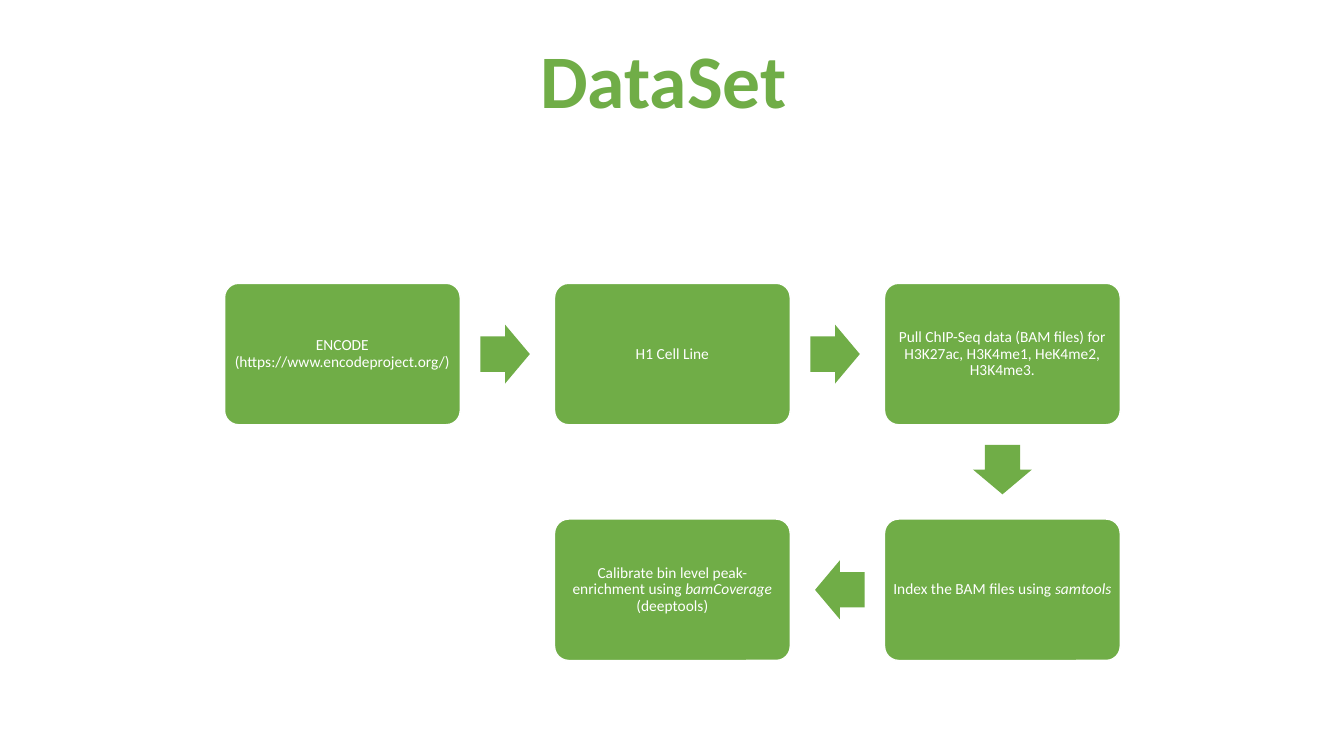
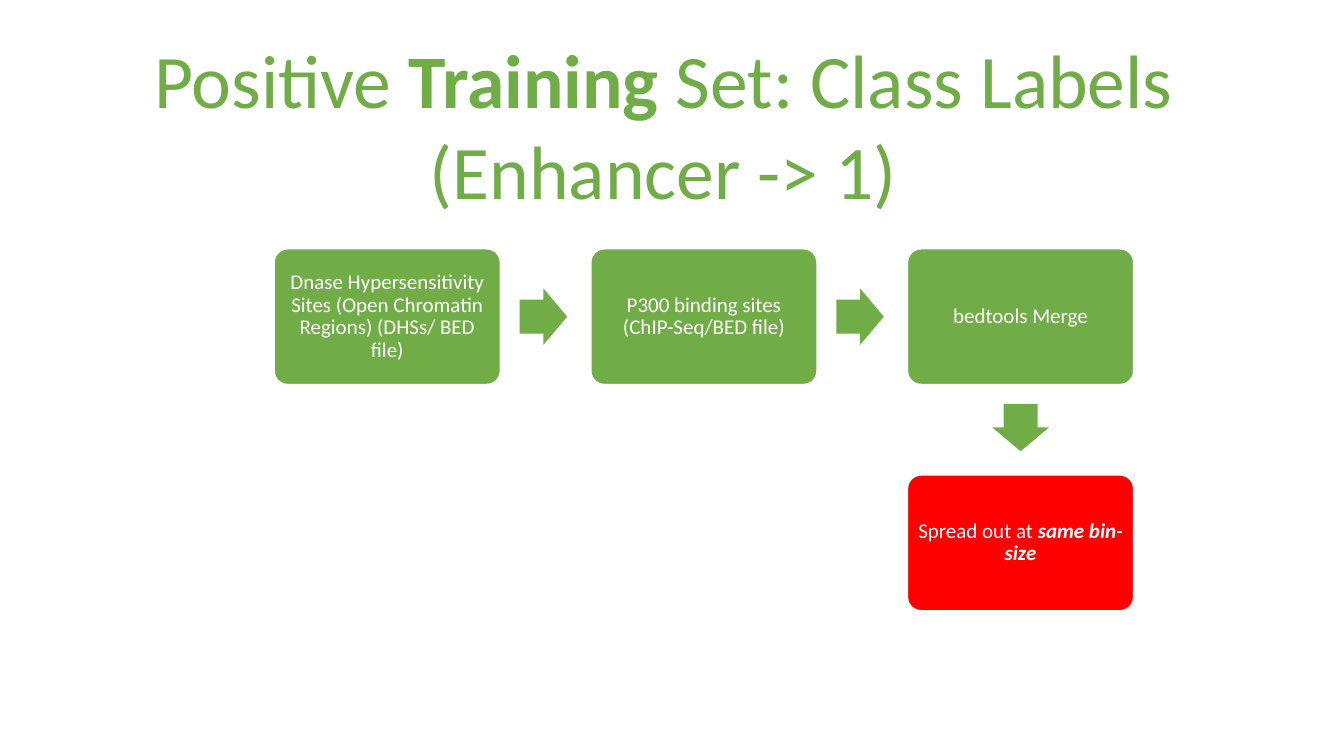
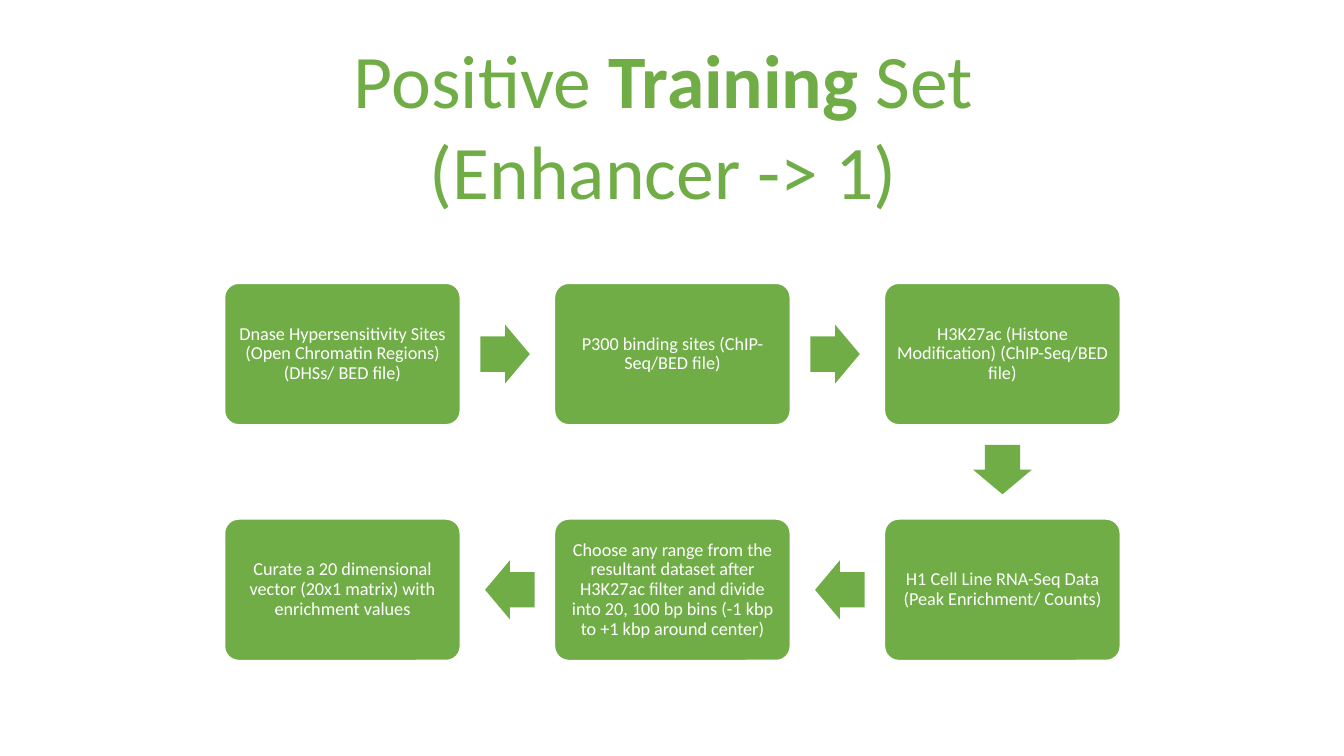
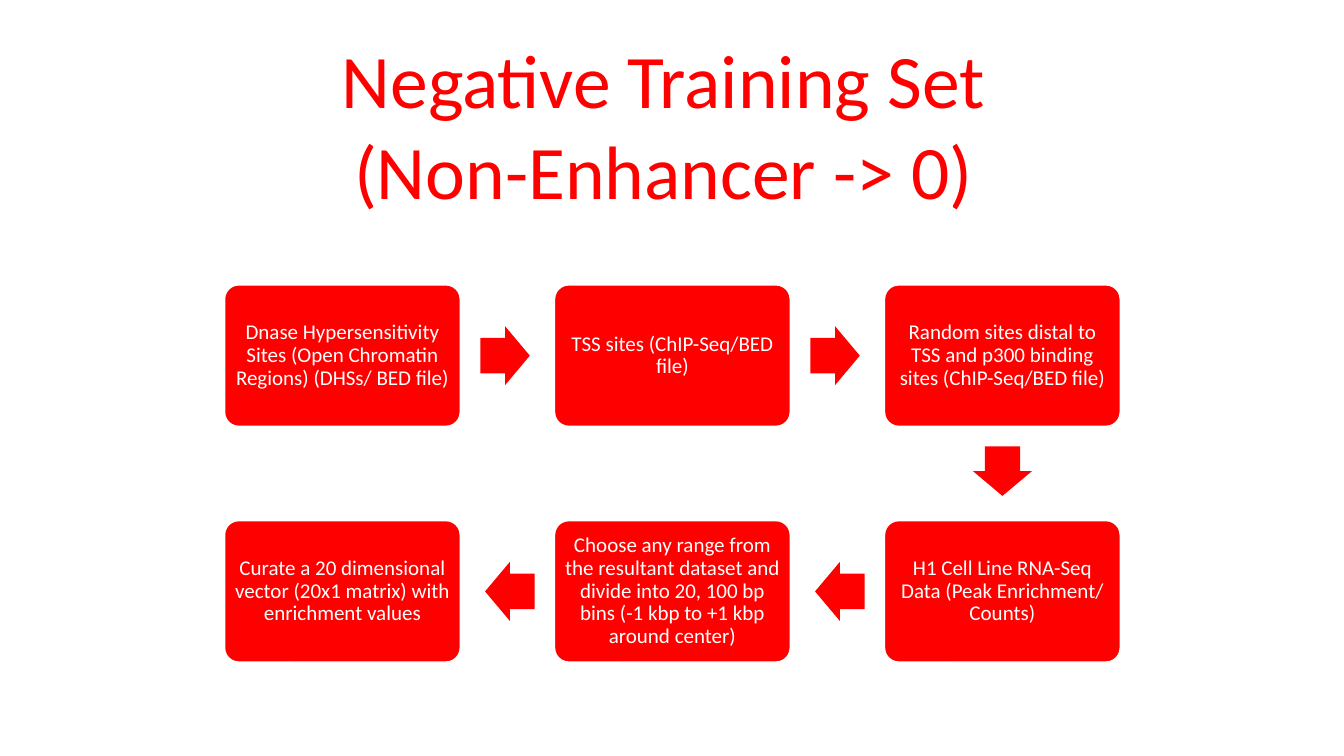
import pptx
import pptx.dml.color
import pptx.enum.shapes
import pptx.enum.text
import pptx.util

Cm, Pt = pptx.util.Cm, pptx.util.Pt
SHAPE = pptx.enum.shapes.MSO_SHAPE
ANCHOR = pptx.enum.text.MSO_ANCHOR
CENTER = pptx.enum.text.PP_ALIGN.CENTER

COLORS = {"green": "70AD47", "red": "FF0000", "white": "FFFFFF"}
FONT = "Calibri"
SLIDE_WIDTH, SLIDE_HEIGHT = 33.87, 19.05
TITLE_TOP, TITLE_SIZE = 0.71, 54
COLUMNS = 3

# Proportions of the flow, as shares of the step width
STEP_HEIGHT, COLUMN_PITCH, ROW_PITCH = 0.6, 1.4, 1
ARROW_LENGTH, ARROW_THICKNESS, ARROW_OFFSET = 0.21, 0.25, 0.19

DHS_SITES = [("Dnase Hypersensitivity Sites (Open Chromatin Regions) (DHSs/ BED file)", "")]
P300_SITES = [("P300 binding sites (ChIP-Seq/BED file)", "")]
RNA_SEQ = [("H1 Cell Line RNA-Seq Data (Peak Enrichment/ Counts)", "")]
VECTOR = [("Curate a 20 dimensional vector (20x1 matrix) with enrichment values", "")]
ENHANCER = [("(Enhancer -> 1) ", "")]

# Each run is a text and its style: b for bold, i for italic
slides = [
    {
        "title": [[("DataSet ", "b")]],
        "title_width": 7.16, "color": "green",
        "left": 5.66, "top": 7.14, "step_width": 5.94, "text_size": 11,
        "steps": [
            [("ENCODE (https://www.encodeproject.org/)", "")],
            [("H1 Cell Line", "")],
            [("Pull ChIP-Seq data (BAM files) for H3K27ac, H3K4me1, HeK4me2, H3K4me3.", "")],
            [("Index the BAM files using ", ""), ("samtools", "i")],
            [("Calibrate bin level peak-enrichment using ", ""), ("bamCoverage", "i"),
             (" (deeptools)", "")],
        ],
    },
    {
        "title": [[("Positive ", ""), ("Training", "b"), (" Set: Class Labels ", "")], ENHANCER],
        "title_width": 26.9, "color": "green", "last_color": "red",
        "left": 6.91, "top": 6.27, "step_width": 5.7, "text_size": 15,
        "steps": [
            DHS_SITES,
            P300_SITES,
            [("bedtools Merge", "")],
            [("Spread out at ", ""), ("same bin-size", "bi")],
        ],
    },
    {
        "title": [[("Positive ", ""), ("Training", "b"), (" Set ", "")], ENHANCER],
        "title_width": 16.71, "color": "green",
        "left": 5.66, "top": 7.14, "step_width": 5.94, "text_size": 13,
        "steps": [
            DHS_SITES,
            P300_SITES,
            [("H3K27ac (Histone Modification) (ChIP-Seq/BED file)", "")],
            RNA_SEQ,
            [("Choose any range from the resultant dataset after H3K27ac filter and divide "
              "into 20, 100 bp bins (-1 kbp to +1 kbp around center)", "")],
            VECTOR,
        ],
    },
    {
        "title": [[("Negative Training Set ", "")], [("(Non-Enhancer -> 0) ", "")]],
        "title_width": 17.35, "color": "red",
        "left": 5.66, "top": 7.18, "step_width": 5.94, "text_size": 15,
        "steps": [
            DHS_SITES,
            [("TSS sites (ChIP-Seq/BED file)", "")],
            [("Random sites distal to TSS and p300 binding sites (ChIP-Seq/BED file)", "")],
            RNA_SEQ,
            [("Choose any range from the resultant dataset and divide into 20, 100 bp bins "
              "(-1 kbp to +1 kbp around center)", "")],
            VECTOR,
        ],
    },
]


def write_runs(paragraph, runs, size, color):
    paragraph.alignment = CENTER
    for text, style in runs:
        run = paragraph.add_run()
        run.text = text
        run.font.name = FONT
        run.font.size = Pt(size)
        run.font.bold = "b" in style
        run.font.italic = "i" in style
        run.font.color.rgb = pptx.dml.color.RGBColor.from_string(COLORS[color])


def add_centered(slide, kind, x, y, width, height, color):
    """Add a flat filled shape around the centre point x, y."""
    shape = slide.shapes.add_shape(
        kind, Cm(x - width / 2), Cm(y - height / 2), Cm(width), Cm(height))
    shape.shadow.inherit = False
    shape.fill.solid()
    shape.fill.fore_color.rgb = pptx.dml.color.RGBColor.from_string(COLORS[color])
    return shape


prs = pptx.Presentation()
prs.slide_width, prs.slide_height = Cm(SLIDE_WIDTH), Cm(SLIDE_HEIGHT)
title_only = prs.slide_layouts[5]

for content in slides:
    slide = prs.slides.add_slide(title_only)

    title = slide.shapes.title
    title_width = content["title_width"]
    title.left, title.top = Cm((SLIDE_WIDTH - title_width) / 2), Cm(TITLE_TOP)
    title.width, title.height = Cm(title_width), Cm(0.25 + 2.31 * len(content["title"]))
    frame = title.text_frame
    frame.word_wrap = False
    frame.auto_size = pptx.enum.text.MSO_AUTO_SIZE.SHAPE_TO_FIT_TEXT
    frame.vertical_anchor = ANCHOR.TOP
    for number, runs in enumerate(content["title"]):
        paragraph = frame.add_paragraph() if number else frame.paragraphs[0]
        write_runs(paragraph, runs, TITLE_SIZE, content["color"])

    # The flow runs right along the first row and back along the second
    unit = content["step_width"]
    last = len(content["steps"]) - 1
    for number, runs in enumerate(content["steps"]):
        row, column = divmod(number, COLUMNS)
        if row:
            column = COLUMNS - 1 - column
        x = content["left"] + unit * (0.5 + COLUMN_PITCH * column)
        y = content["top"] + unit * (STEP_HEIGHT / 2 + ROW_PITCH * row)
        color = content["color"]
        if number == last:
            color = content.get("last_color", color)

        step = add_centered(slide, SHAPE.ROUNDED_RECTANGLE, x, y, unit, unit * STEP_HEIGHT, color)
        step.adjustments[0] = 0.1
        step.line.color.rgb = pptx.dml.color.RGBColor.from_string(COLORS["white"])
        step.line.width = Pt(1)
        frame = step.text_frame
        frame.word_wrap = True
        frame.vertical_anchor = ANCHOR.MIDDLE
        inset = Pt(0.3 * content["text_size"])
        frame.margin_left = frame.margin_right = inset
        frame.margin_top = frame.margin_bottom = inset
        frame.paragraphs[0].line_spacing = 0.9
        write_runs(frame.paragraphs[0], runs, content["text_size"], "white")

        if number == last:
            continue
        if number == COLUMNS - 1:
            rotation = 90
            y += unit * (STEP_HEIGHT / 2 + ARROW_OFFSET)
        else:
            rotation = 180 if row else 0
            x += unit * (0.5 + ARROW_OFFSET) * (-1 if row else 1)
        arrow = add_centered(slide, SHAPE.RIGHT_ARROW, x, y,
                             unit * ARROW_LENGTH, unit * ARROW_THICKNESS, color)
        arrow.adjustments[0], arrow.adjustments[1] = 0.6, 0.5
        arrow.rotation = rotation
        arrow.line.fill.background()

prs.save("out.pptx")
